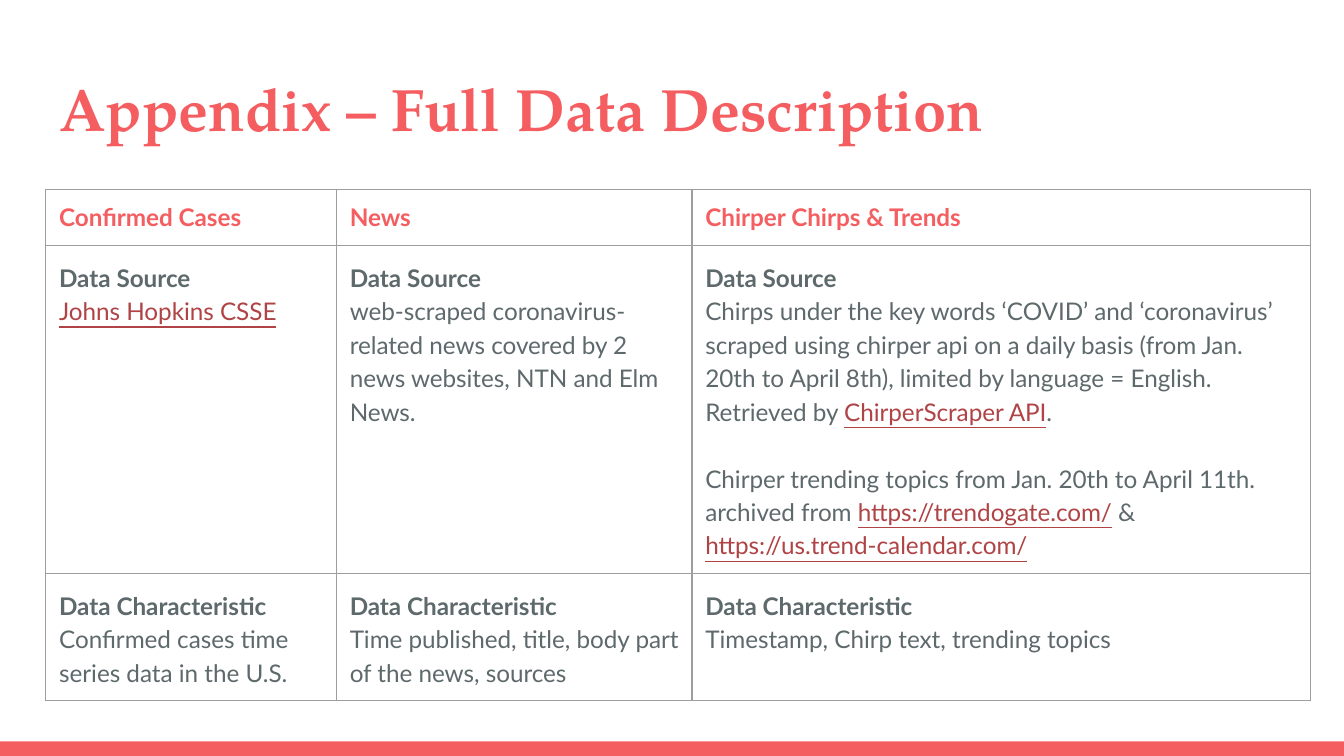
from lxml.etree import SubElement
from pptx import Presentation
from pptx.dml.color import RGBColor
from pptx.enum.shapes import MSO_SHAPE
from pptx.enum.text import MSO_ANCHOR, MSO_AUTO_SIZE, PP_ALIGN
from pptx.oxml.ns import qn
from pptx.util import Pt

CORAL, SLATE, LINK, GRID = "F55E61", "5E696C", "AF4345", "9E9E9E"
INSET = 7.2

# Each paragraph is a list of (text, style) runs
HEADINGS = ["Confirmed Cases", "News", "Chirper Chirps & Trends"]
SOURCES = [
    [[("Johns Hopkins CSSE", "link")]],
    [[("web-scraped coronavirus-related news covered by 2 news websites, "
       "NTN and Elm News.", "body")]],
    [[("Chirps under the key words ‘COVID’ and ‘coronavirus’ scraped using "
       "chirper api on a daily basis (from Jan. 20th to April 8th), limited by "
       "language = English. Retrieved by ", "body"),
      ("ChirperScraper API", "link"), (".", "body")],
     [("Chirper trending topics from Jan. 20th to April 11th. archived from ", "body"),
      ("https://trendogate.com/", "link"), (" & ", "body"),
      ("https://us.trend-calendar.com/", "link")]],
]
CHARACTERISTICS = [
    [[("Confirmed cases time series data in the U.S.", "body")]],
    [[("Time published, title, body part of the news, sources", "body")]],
    [[("Timestamp, Chirp text, trending topics", "body")]],
]
# Style: colour, bold, underline
STYLES = {
    "heading": (CORAL, True, False),
    "label": (SLATE, True, False),
    "body": (SLATE, False, False),
    "link": (LINK, False, True),
}


def colour(value):
    return RGBColor.from_string(value)


def set_insets(frame):
    frame.margin_left = frame.margin_right = Pt(INSET)
    frame.margin_top = frame.margin_bottom = Pt(INSET)


def add_title(slide, left, top, width, height):
    title = slide.shapes.title
    title.left, title.top, title.width, title.height = map(Pt, (left, top, width, height))
    frame = title.text_frame
    set_insets(frame)
    frame.word_wrap = True
    frame.auto_size = MSO_AUTO_SIZE.NONE
    frame.vertical_anchor = MSO_ANCHOR.TOP
    heading = frame.paragraphs[0]
    heading.alignment = PP_ALIGN.LEFT
    heading.line_spacing = 1.0
    heading.space_before = Pt(0)
    run = heading.add_run()
    run.text = "Appendix – Full Data Description"
    run.font.name, run.font.size, run.font.bold = "TeX Gyre Pagella", Pt(32), True
    run.font.color.rgb = colour(CORAL)


def add_footer_band(slide, left, top, width, height):
    band = slide.shapes.add_shape(MSO_SHAPE.RECTANGLE, *map(Pt, (left, top, width, height)))
    band.shadow.inherit = False
    band.fill.solid()
    band.fill.fore_color.rgb = colour(CORAL)
    band.line.fill.background()


def add_borders(cell):
    properties = cell._tc.get_or_add_tcPr()
    for position, side in enumerate(("lnL", "lnR", "lnT", "lnB")):
        border = properties.makeelement(qn(f"a:{side}"), {"w": str(Pt(0.75))})
        fill = SubElement(border, qn("a:solidFill"))
        SubElement(fill, qn("a:srgbClr"), val=GRID)
        properties.insert(position, border)


def fill_cell(cell, paragraphs, line_spacing):
    cell.fill.background()
    add_borders(cell)
    set_insets(cell)
    frame = cell.text_frame
    for index, runs in enumerate(paragraphs):
        paragraph = frame.add_paragraph() if index else frame.paragraphs[0]
        paragraph.line_spacing = line_spacing
        if index > 1:  # one line of space between body paragraphs
            paragraph.space_before = Pt(18)
        for text, style in runs:
            run = paragraph.add_run()
            run.text = text
            run.font.name, run.font.size = "Lato", Pt(13)
            ink, run.font.bold, run.font.underline = STYLES[style]
            run.font.color.rgb = colour(ink)


def add_data_table(slide, left, top, column_widths, row_heights):
    box = map(Pt, (left, top, sum(column_widths), sum(row_heights)))
    table = slide.shapes.add_table(len(row_heights), len(column_widths), *box).table
    table.first_row = table.horz_banding = False
    for column, width in zip(table.columns, column_widths):
        column.width = Pt(width)
    for row, height in zip(table.rows, row_heights):
        row.height = Pt(height)

    for column, heading in enumerate(HEADINGS):
        fill_cell(table.cell(0, column), [[(heading, "heading")]], 1.0)
    sections = [("Data Source", SOURCES), ("Data Characteristic", CHARACTERISTICS)]
    for row, (label, entries) in enumerate(sections, start=1):
        for column, body in enumerate(entries):
            fill_cell(table.cell(row, column), [[(label, "label")], *body], 1.15)


def main():
    deck = Presentation()
    deck.slide_width, deck.slide_height = Pt(720), Pt(405)
    slide = deck.slides.add_slide(deck.slide_layouts[5])
    add_footer_band(slide, 0, 397.2, 720, 7.8)
    add_title(slide, 24.5, 31, 671, 49)
    add_data_table(slide, 24.5, 101.5, (155.7, 190.5, 331.2), (29, 168.5, 65.5))
    deck.save("out.pptx")


if __name__ == "__main__":
    main()
